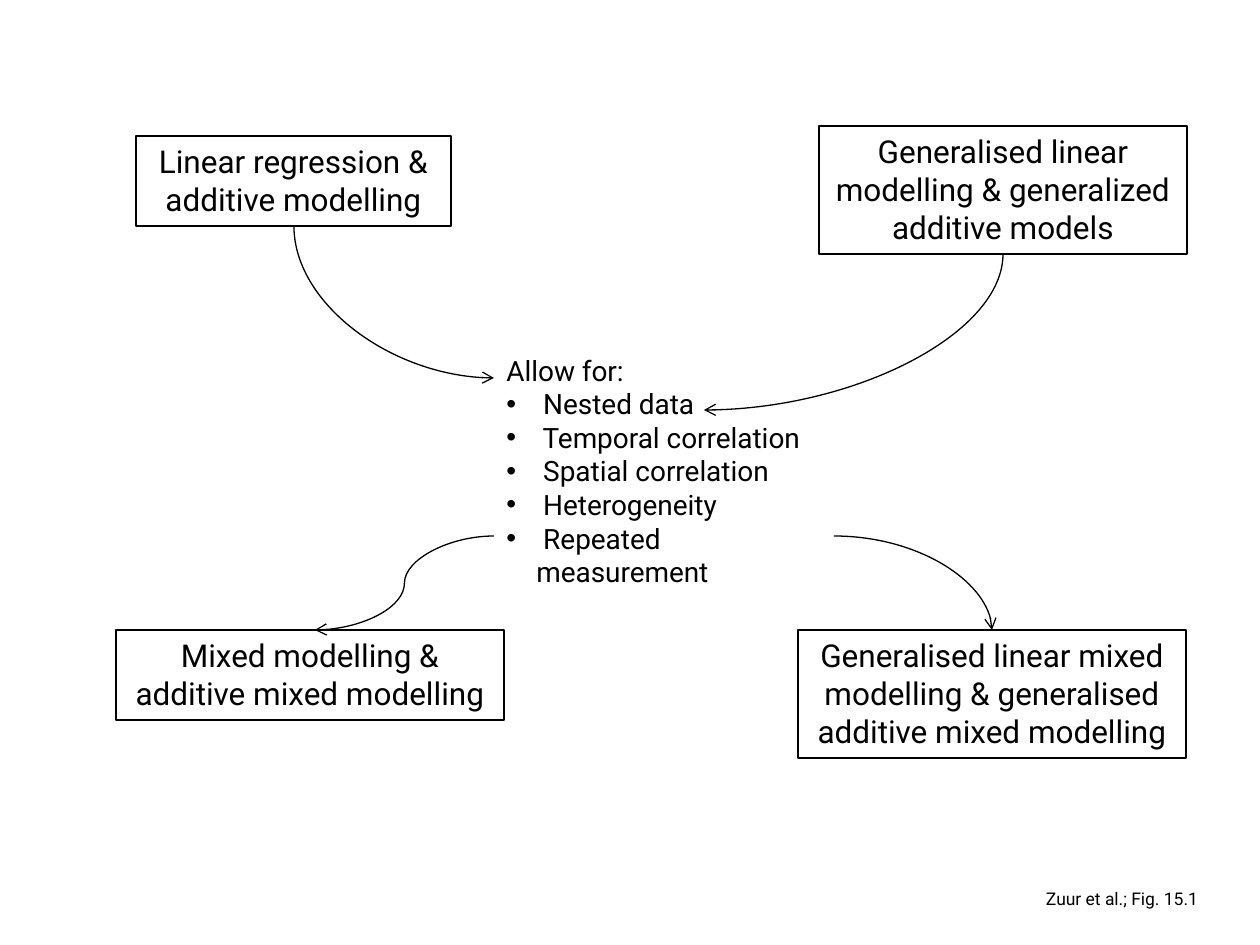
from lxml.etree import SubElement
from pptx import Presentation
from pptx.dml.color import RGBColor
from pptx.enum.shapes import MSO_CONNECTOR as Connector, MSO_SHAPE as Shape
from pptx.enum.text import MSO_ANCHOR as Anchor, MSO_AUTO_SIZE as AutoSize, PP_ALIGN as Align
from pptx.oxml.ns import qn
from pptx.util import Pt

PX = 914400 / 126
INK = "000000"
FONT = "Roboto"


def px(length):
    """Turn pixels into EMU."""
    return round(length * PX)


def color(hex_string):
    """Turn a hex string into a colour."""
    return RGBColor.from_string(hex_string)


def write(frame, lines, size, align, wrap):
    """Fill a text frame with one paragraph per line."""
    frame.text = "\n".join(lines)
    frame.word_wrap = wrap
    frame.auto_size = AutoSize.SHAPE_TO_FIT_TEXT
    frame.vertical_anchor = Anchor.TOP
    for paragraph in frame.paragraphs:
        paragraph.alignment = align
        for run in paragraph.runs:
            run.font.size = Pt(size)
            run.font.name = FONT
            run.font.color.rgb = color(INK)


def add_model(slide, box, lines):
    """Draw an outlined box naming a family of models."""
    model = slide.shapes.add_shape(Shape.RECTANGLE, *map(px, box))
    model.shadow.inherit = False
    model.fill.background()
    model.line.color.rgb = color(INK)
    model.line.width = Pt(0.75)
    write(model.text_frame, lines, 18, Align.CENTER, True)


def add_label(slide, box, lines, size, align):
    """Place unwrapped text without an outline."""
    label = slide.shapes.add_textbox(*map(px, box))
    write(label.text_frame, lines, size, align, False)
    return label.text_frame.paragraphs


def add_allowances(slide, box, heading, items):
    """Place the heading and its bulleted list."""
    paragraphs = add_label(slide, box, [heading] + items, 16, Align.LEFT)
    for paragraph in paragraphs[1:]:
        properties = paragraph._p.get_or_add_pPr()
        properties.set("marL", str(px(30)))
        properties.set("indent", str(px(-30)))
        SubElement(properties, qn("a:buFont"), typeface="Arial")
        SubElement(properties, qn("a:buChar"), char="•")


def add_arrow(slide, start, end, preset, leaves_down=False):
    """Draw a curved arrow, turned a quarter when it leaves downwards."""
    (x1, y1), (x2, y2) = start, end
    turn = 0
    if leaves_down:
        middle_x, middle_y = (x1 + x2) / 2, (y1 + y2) / 2
        half_width, half_height = (y2 - y1) / 2, abs(x2 - x1) / 2
        turn = 270 if x2 > x1 else 90
        side = 1 if x2 > x1 else -1
        x1, x2 = middle_x + side * half_width, middle_x - side * half_width
        y1, y2 = middle_y - half_height, middle_y + half_height
    arrow = slide.shapes.add_connector(Connector.CURVE, *map(px, (x1, y1, x2, y2)))
    arrow.line.color.rgb = color(INK)
    arrow.line.width = Pt(0.75)
    properties = arrow._element.spPr
    properties.find(qn("a:prstGeom")).set("prst", preset)
    if turn:
        properties.find(qn("a:xfrm")).set("rot", str(turn * 60000))
    SubElement(arrow.line._get_or_add_ln(), qn("a:tailEnd"), type="arrow")
    SubElement(properties, qn("a:effectLst"))


def main():
    """Build the slide on mixed modelling."""
    deck = Presentation()
    deck.slide_width, deck.slide_height = px(1260), px(945)
    slide = deck.slides.add_slide(deck.slide_layouts[6])
    models = [
        ((136, 136, 315, 90), ["Linear regression &", "additive modelling"]),
        ((819, 126, 368, 128),
         ["Generalised linear", "modelling & generalized", "additive models"]),
        ((116, 630, 388, 90), ["Mixed modelling &", "additive mixed modelling"]),
        ((798, 630, 388, 128),
         ["Generalised linear mixed", "modelling & generalised", "additive mixed modelling"]),
    ]
    for box, lines in models:
        add_model(slide, box, lines)
    add_allowances(slide, (494, 347, 340, 217), "Allow for:", [
        " Nested data", " Temporal correlation", " Spatial correlation",
        " Heterogeneity", " Repeated measurement"])
    add_label(slide, (1029, 882, 186, 34), ["Zuur et al.; Fig. 15.1"], 10, Align.CENTER)
    add_arrow(slide, (294, 226), (494, 378), "curvedConnector2", True)
    add_arrow(slide, (1003, 254), (704, 410), "curvedConnector2", True)
    add_arrow(slide, (834, 536), (992, 630), "curvedConnector2")
    add_arrow(slide, (494, 536), (315, 630), "curvedConnector3")
    deck.save("out.pptx")


if __name__ == "__main__":
    main()
